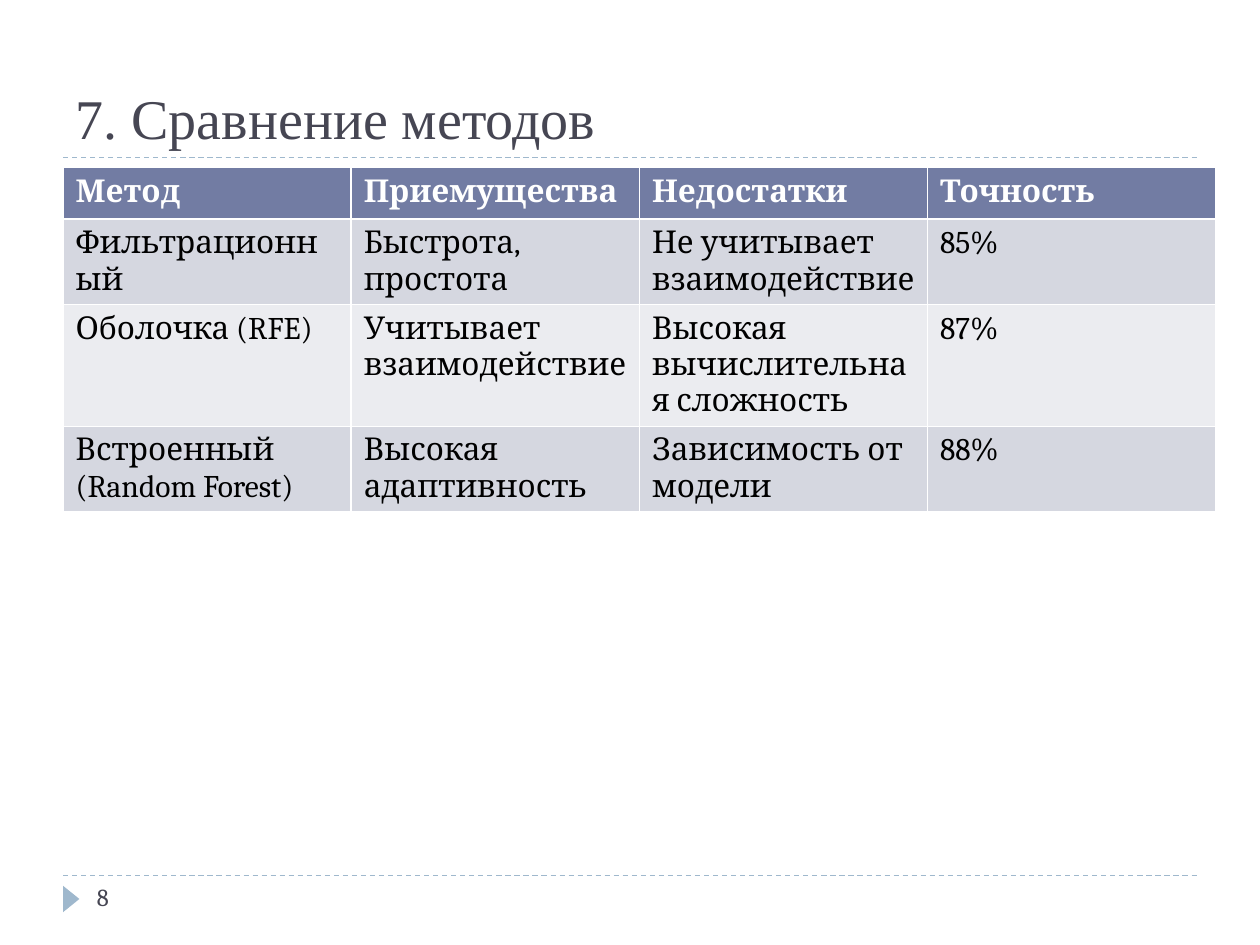
from pptx import Presentation
from pptx.dml.color import RGBColor
from pptx.enum import dml, shapes, text
from pptx.oxml import xmlchemy
from pptx.util import Inches, Pt

INK = RGBColor(0x46, 0x46, 0x53)
ACCENT = RGBColor(0x9F, 0xB8, 0xCD)
HEADER = RGBColor(0x72, 0x7C, 0xA3)
BANDS = (RGBColor(0xD5, 0xD7, 0xE0), RGBColor(0xEB, 0xEC, 0xF0))
WHITE = RGBColor(0xFF, 0xFF, 0xFF)
BLACK = RGBColor(0, 0, 0)

METHODS = [
    ("Метод", "Приемущества", "Недостатки", "Точность"),
    ("Фильтрационный", "Быстрота, простота", "Не учитывает взаимодействие", "85%"),
    ("Оболочка (RFE)", "Учитывает взаимодействие",
     "Высокая вычислительная сложность", "87%"),
    ("Встроенный (Random Forest)", "Высокая адаптивность",
     "Зависимость от модели", "88%"),
]


def style_font(font, name, size, color, bold=False):
    font.name, font.size, font.bold = name, Pt(size), bold
    font.color.rgb = color


def add_rule(slide, left, top, width):
    rule = slide.shapes.add_connector(
        shapes.MSO_CONNECTOR.STRAIGHT,
        Inches(left), Inches(top), Inches(left + width), Inches(top))
    rule.line.color.rgb = ACCENT
    rule.line.width = Pt(0.75)
    rule.line.dash_style = dml.MSO_LINE.DASH
    properties = rule._element.spPr
    properties.append(xmlchemy.OxmlElement("a:effectLst"))


def add_title(slide, left, top, width, height):
    title = slide.shapes.title
    title.left, title.top = Inches(left), Inches(top)
    title.width, title.height = Inches(width), Inches(height)
    frame = title.text_frame
    frame.text = "7. Сравнение методов"
    frame.vertical_anchor = text.MSO_ANCHOR.BOTTOM
    paragraph = frame.paragraphs[0]
    paragraph.alignment = text.PP_ALIGN.LEFT
    style_font(paragraph.font, "Times New Roman", 32, INK)
    add_rule(slide, left, top + height, width)


def add_methods_table(slide, left, top, width, row_height):
    # The default table style supplies the white cell borders
    table = slide.shapes.add_table(
        len(METHODS), len(METHODS[0]), Inches(left), Inches(top),
        Inches(width), Inches(row_height * len(METHODS))).table
    for row_index, row in enumerate(METHODS):
        is_header = row_index == 0
        fill = HEADER if is_header else BANDS[(row_index - 1) % 2]
        for column_index, value in enumerate(row):
            cell = table.cell(row_index, column_index)
            cell.text = value
            cell.fill.solid()
            cell.fill.fore_color.rgb = fill
            style_font(cell.text_frame.paragraphs[0].font, "Cambria", 18,
                       WHITE if is_header else BLACK, is_header)


def add_footer(slide, left, top, width):
    add_rule(slide, left, top, width)

    # Page marker pointing right
    marker = slide.shapes.add_shape(
        shapes.MSO_SHAPE.ISOSCELES_TRIANGLE,
        Inches(left - 0.04), Inches(top + 0.12), Inches(0.21), Inches(0.13))
    marker.rotation = 90
    marker.shadow.inherit = False
    marker.fill.solid()
    marker.fill.fore_color.rgb = ACCENT
    marker.line.fill.background()

    # Page number
    number = slide.shapes.add_textbox(
        Inches(left + 0.17), Inches(top), Inches(2.17), Inches(0.4))
    number.text_frame.word_wrap = True
    number.text_frame.text = "8"
    style_font(number.text_frame.paragraphs[0].font, "Cambria", 14, INK)


def main():
    presentation = Presentation()
    presentation.slide_width = Inches(10)
    presentation.slide_height = Inches(7.5)
    slide = presentation.slides.add_slide(presentation.slide_layouts[5])
    add_title(slide, 0.5, 0.17, 9, 1.08)
    add_methods_table(slide, 0.5, 1.33, 9.15, 0.41)
    add_footer(slide, 0.5, 6.95, 9)
    presentation.save("out.pptx")


if __name__ == "__main__":
    main()
